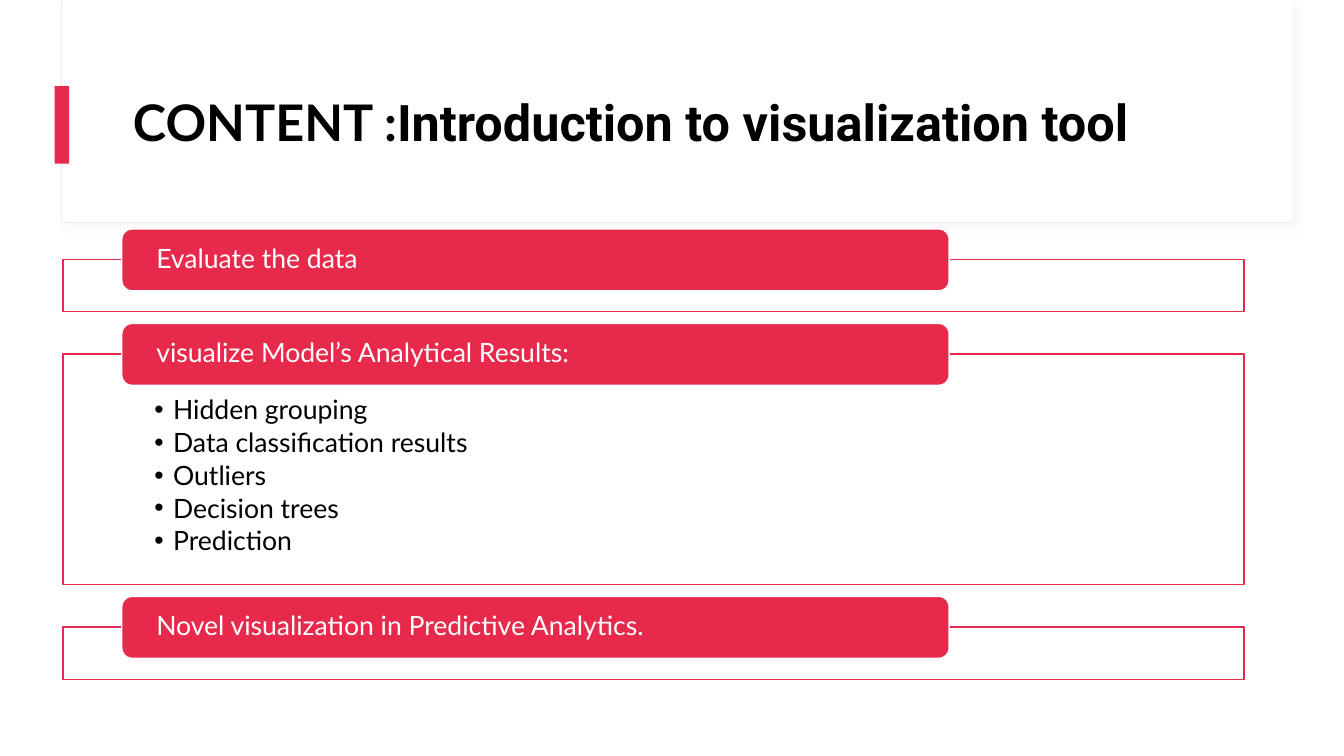
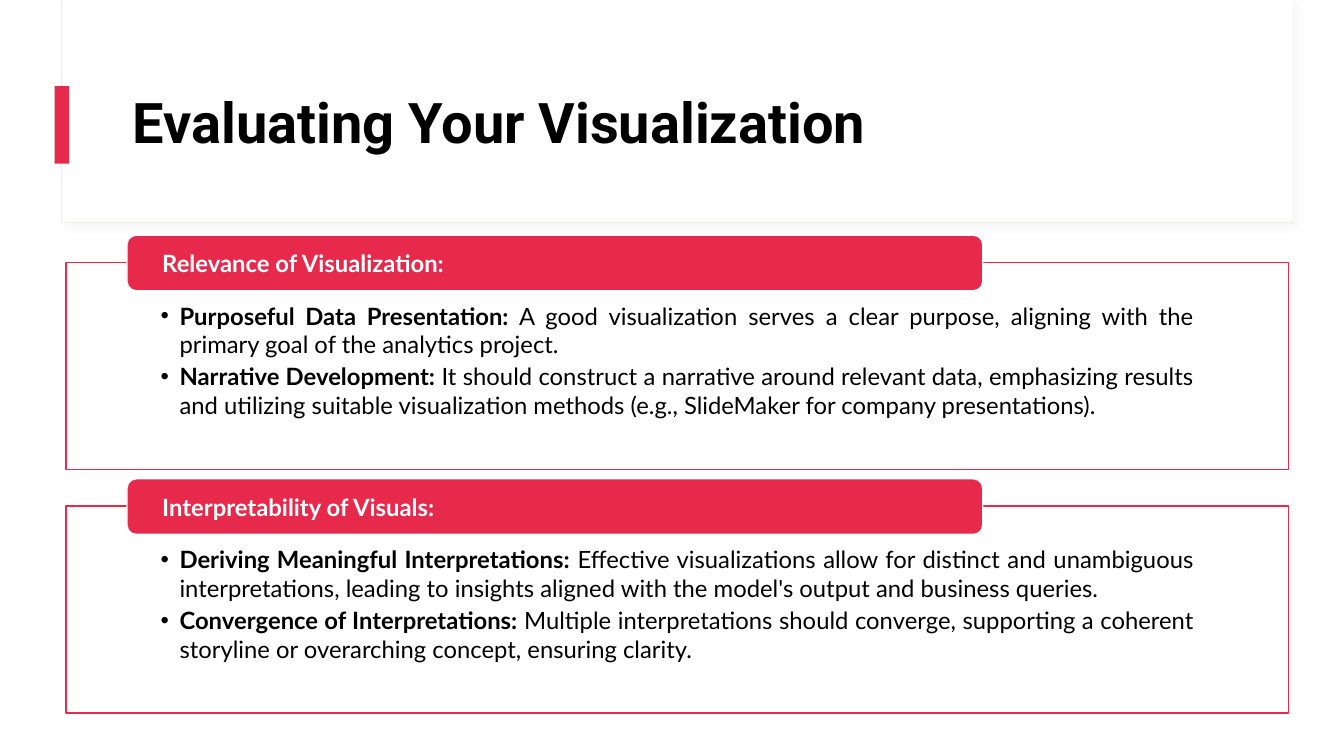
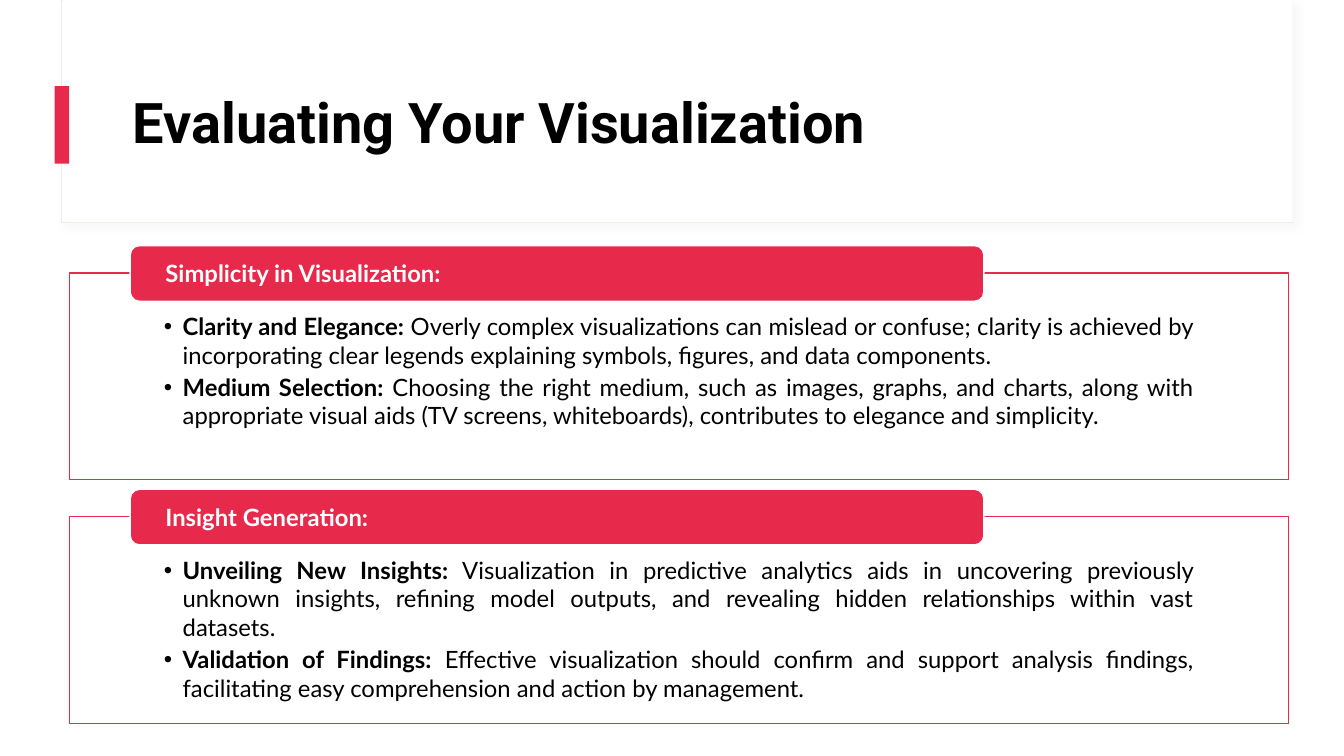
"""Build three slides on evaluating data visualizations."""
from lxml.etree import SubElement
from pptx import Presentation
from pptx.dml.color import RGBColor
from pptx.enum.shapes import MSO_SHAPE as Shape
from pptx.enum.text import MSO_ANCHOR as Anchor, MSO_AUTO_SIZE as AutoSize, PP_ALIGN as Align
from pptx.oxml.ns import qn
from pptx.util import Emu, Pt

RED = RGBColor(0xE7, 0x29, 0x4C)
WHITE = RGBColor(0xFF, 0xFF, 0xFF)
BLACK = RGBColor(0x00, 0x00, 0x00)
IVORY = RGBColor(0xEF, 0xEE, 0xE3)
SHADOW_GRAY = RGBColor(0xD9, 0xD9, 0xD9)
BODY_FONT = "Lato"
TITLE_FONT = "Roboto"

OUTLINE_STYLE = dict(left=60, width=1125, gap=40, tab_height=59, size=19,
                     line_spacing=0.9, align=Align.LEFT, bold=False)
DETAIL_STYLE = dict(gap=35, tab_height=53, size=17,
                    line_spacing=1.0, align=Align.JUSTIFY, bold=True)

OUTLINE = [
    ("Evaluate the data", 50, []),
    ("visualize Model’s Analytical Results:", 220, [
        ("", "Hidden grouping"),
        ("", "Data classification results"),
        ("", "Outliers"),
        ("", "Decision trees"),
        ("", "Prediction"),
    ]),
    ("Novel visualization in Predictive Analytics.", 50, []),
]
RELEVANCE = [
    ("Relevance of Visualization:", 197, [
        ("Purposeful Data Presentation:",
         " A good visualization serves a clear purpose, aligning with the primary goal "
         "of the analytics project."),
        ("Narrative Development:",
         " It should construct a narrative around relevant data, emphasizing results and "
         "utilizing suitable visualization methods (e.g., SlideMaker for company presentations)."),
    ]),
    ("Interpretability of Visuals:", 197, [
        ("Deriving Meaningful Interpretations:",
         " Effective visualizations allow for distinct and unambiguous interpretations, "
         "leading to insights aligned with the model's output and business queries."),
        ("Convergence of Interpretations:",
         " Multiple interpretations should converge, supporting a coherent storyline or "
         "overarching concept, ensuring clarity."),
    ]),
]
SIMPLICITY = [
    ("Simplicity in Visualization:", 197, [
        ("Clarity and Elegance:",
         " Overly complex visualizations can mislead or confuse; clarity is achieved by "
         "incorporating clear legends explaining symbols, figures, and data components."),
        ("Medium Selection:",
         " Choosing the right medium, such as images, graphs, and charts, along with "
         "appropriate visual aids (TV screens, whiteboards), contributes to elegance "
         "and simplicity."),
    ]),
    ("Insight Generation:", 197, [
        ("Unveiling New Insights:",
         " Visualization in predictive analytics aids in uncovering previously unknown "
         "insights, refining model outputs, and revealing hidden relationships within "
         "vast datasets."),
        ("Validation of Findings:",
         " Effective visualization should confirm and support analysis findings, "
         "facilitating easy comprehension and action by management."),
    ]),
]


def px(length):
    """Turn pixels into EMU."""
    return Emu(length * 9525)


def add_box(slide, kind, box, fill, line=None, line_width=1):
    """Add a flat preset shape."""
    shape = slide.shapes.add_shape(kind, *map(px, box))
    shape.shadow.inherit = False
    shape.fill.solid()
    shape.fill.fore_color.rgb = fill
    if line is None:
        shape.line.fill.background()
    else:
        shape.line.color.rgb = line
        shape.line.width = Pt(line_width)
    return shape


def add_soft_shadow(shape):
    """Give a shape a faint shadow to the lower right."""
    effects = shape.element.spPr.find(qn("a:effectLst"))
    shadow = SubElement(effects, qn("a:outerShdw"), blurRad="76200", dist="38100",
                        dir="2700000", algn="tl", rotWithShape="0")
    color = SubElement(shadow, qn("a:srgbClr"), val=str(SHADOW_GRAY))
    SubElement(color, qn("a:alpha"), val="18000")


def set_up_layout(layout, slide):
    """Put the header card, accent bar and title position on the layout."""
    card = add_box(slide, Shape.RECTANGLE, (59, 0, 1172, 212), WHITE, IVORY, 0.75)
    add_soft_shadow(card)
    face = add_box(slide, Shape.RECTANGLE, (60, 0, 1171, 211), WHITE)
    bar = add_box(slide, Shape.RECTANGLE, (52, 82, 14, 74), RED)
    for shape in (card, face, bar):
        layout.shapes.element.append(shape.element)
    title = layout.placeholders[0]
    title.left, title.top, title.width, title.height = map(px, (117, 57, 1067, 124))


def format_run(run, font, size, color, bold):
    """Set the character style of a run."""
    run.font.name = font
    run.font.size = Pt(size)
    run.font.color.rgb = color
    run.font.bold = bold


def format_paragraph(paragraph, style):
    """Set alignment and line spacing."""
    paragraph.alignment = style["align"]
    paragraph.line_spacing = style["line_spacing"]


def set_title(slide, parts, size):
    """Fill the title from (text, font) parts."""
    frame = slide.shapes.title.text_frame
    frame.auto_size = AutoSize.NONE
    frame.vertical_anchor = Anchor.MIDDLE
    paragraph = frame.paragraphs[0]
    format_paragraph(paragraph, dict(align=Align.LEFT, line_spacing=0.9))
    for text, font in parts:
        run = paragraph.add_run()
        run.text = text
        format_run(run, font, size, BLACK, True)


def set_margins(frame, side):
    """Wrap the text between equal side insets."""
    frame.word_wrap = True
    frame.margin_left = frame.margin_right = px(side)
    frame.margin_top = frame.margin_bottom = 0


def add_bullet(paragraph, lead, text, style):
    """Write one bullet with an optional bold lead."""
    properties = paragraph._p.get_or_add_pPr()
    properties.set("marL", str(px(18)))
    properties.set("indent", str(px(-18)))
    SubElement(properties, qn("a:buFont"), typeface="Arial")
    SubElement(properties, qn("a:buChar"), char="•")
    format_paragraph(paragraph, style)
    paragraph.space_after = Pt(style["size"] * 0.15)
    for words, bold in ((lead, True), (text, False)):
        if words:
            run = paragraph.add_run()
            run.text = words
            format_run(run, BODY_FONT, style["size"], BLACK, bold)


def add_bullet_list(slide, box, bullets, style):
    """Add a text box of bullets."""
    frame = slide.shapes.add_textbox(*map(px, box)).text_frame
    set_margins(frame, 0)
    for index, (lead, text) in enumerate(bullets):
        paragraph = frame.add_paragraph() if index else frame.paragraphs[0]
        add_bullet(paragraph, lead, text, style)


def add_tab(slide, box, heading, style):
    """Add a rounded heading tab."""
    tab = add_box(slide, Shape.ROUNDED_RECTANGLE, box, RED, WHITE)
    frame = tab.text_frame
    frame.text = heading
    frame.vertical_anchor = Anchor.MIDDLE
    set_margins(frame, round(style["width"] * 0.0265))
    paragraph = frame.paragraphs[0]
    format_paragraph(paragraph, style)
    format_run(paragraph.runs[0], BODY_FONT, style["size"], WHITE, style["bold"])


def add_section(slide, top, height, heading, bullets, style):
    """Add an outlined panel of bullets under a heading tab."""
    left, width, tab_height = style["left"], style["width"], style["tab_height"]
    add_box(slide, Shape.RECTANGLE, (left, top, width, height), WHITE, RED)
    tab_box = (left + round(width * 0.05), top - tab_height // 2,
               round(width * 0.7), tab_height)
    add_tab(slide, tab_box, heading, style)
    if bullets:
        side, drop = round(width * 0.0776), round(tab_height * 0.7)
        list_box = (left + side, top + drop, width - 2 * side, height - drop)
        add_bullet_list(slide, list_box, bullets, style)


def add_sections(slide, sections, top, style):
    """Stack sections downwards with equal gaps."""
    for heading, height, bullets in sections:
        add_section(slide, top, height, heading, bullets, style)
        top += height + style["gap"]


def main():
    """Build and save the presentation."""
    presentation = Presentation()
    presentation.slide_width, presentation.slide_height = px(1280), px(720)
    layout = presentation.slide_layouts[5]
    outline, relevance, simplicity = [presentation.slides.add_slide(layout) for _ in range(3)]
    set_up_layout(layout, outline)

    set_title(outline, [("CONTENT :", BODY_FONT),
                        ("Introduction to visualization tool", TITLE_FONT)], 36)
    add_sections(outline, OUTLINE, 247, OUTLINE_STYLE)

    for slide, sections, left, top, width in ((relevance, RELEVANCE, 63, 250, 1164),
                                              (simplicity, SIMPLICITY, 66, 260, 1161)):
        set_title(slide, [("Evaluating Your Visualization", TITLE_FONT)], 40)
        add_sections(slide, sections, top, DETAIL_STYLE | dict(left=left, width=width))

    presentation.save("out.pptx")


if __name__ == "__main__":
    main()
